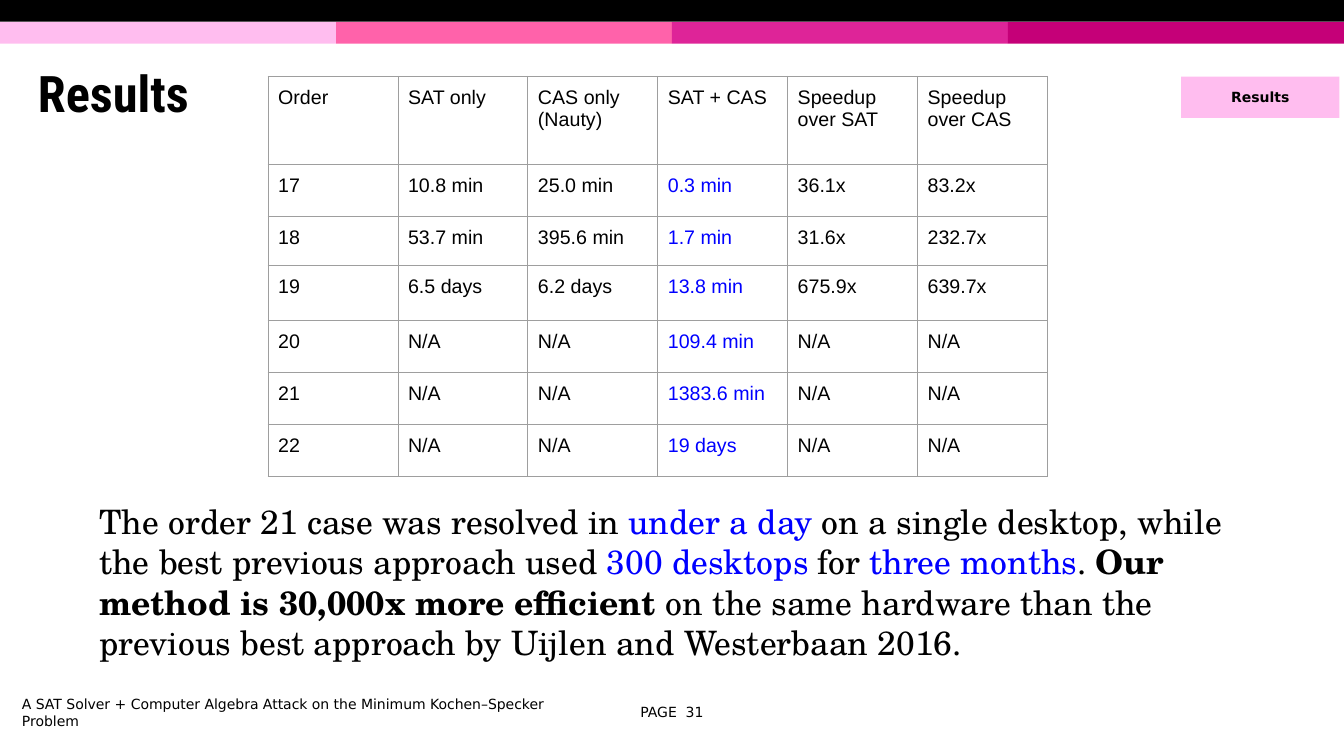
from lxml.etree import SubElement
from pptx import Presentation
from pptx.dml.color import RGBColor
from pptx.enum.shapes import MSO_SHAPE as Shape
from pptx.enum.text import MSO_ANCHOR as Anchor, PP_ALIGN as Align
from pptx.oxml.ns import qn
from pptx.util import Pt

BLACK = RGBColor(0x00, 0x00, 0x00)
BLUE = RGBColor(0x00, 0x00, 0xFF)
PALE_PINK = RGBColor(0xFF, 0xBD, 0xEF)
PINK = RGBColor(0xFF, 0x62, 0xAA)
MAGENTA = RGBColor(0xDE, 0x24, 0x98)
DEEP_MAGENTA = RGBColor(0xC5, 0x00, 0x78)
GRID_GREY = "9E9E9E"

STRIPES = [PALE_PINK, PINK, MAGENTA, DEEP_MAGENTA]
TIMINGS = [
    ("Order", "SAT only", "CAS only (Nauty)", "SAT + CAS", "Speedup over SAT", "Speedup over CAS"),
    ("17", "10.8 min", "25.0 min", "0.3 min", "36.1x", "83.2x"),
    ("18", "53.7 min", "395.6 min", "1.7 min", "31.6x", "232.7x"),
    ("19", "6.5 days", "6.2 days", "13.8 min", "675.9x", "639.7x"),
    ("20", "N/A", "N/A", "109.4 min", "N/A", "N/A"),
    ("21", "N/A", "N/A", "1383.6 min", "N/A", "N/A"),
    ("22", "N/A", "N/A", "19 days", "N/A", "N/A"),
]
ROW_HEIGHTS = [63, 37.2, 34.8, 39.4, 37.2, 37.2, 37.2]
COLUMN_WIDTH = 92.8
OUR_COLUMN = 3
SUMMARY = [
    ("The order 21 case was resolved in ", BLACK, False),
    ("under a day", BLUE, False),
    (" on a single desktop, while the best previous approach used ", BLACK, False),
    ("300 desktops", BLUE, False),
    (" for ", BLACK, False),
    ("three months", BLUE, False),
    (". ", BLACK, False),
    ("Our method is 30,000x more efficient", BLACK, True),
    (" on the same hardware than the previous best approach by Uijlen and Westerbaan 2016.", BLACK, False),
]
PAGE_WIDTH, PAGE_HEIGHT = 960, 540
BAND_HEIGHT = 15.6

deck = Presentation()
deck.slide_width, deck.slide_height = Pt(PAGE_WIDTH), Pt(PAGE_HEIGHT)
page = deck.slides.add_slide(deck.slide_layouts[6])


def write(frame, spans, size, font, align=Align.LEFT):
    para = frame.paragraphs[0]
    para.alignment = align
    for text, color, bold in spans:
        span = para.add_run()
        span.text = text
        span.font.size = Pt(size)
        span.font.name = font
        span.font.bold = bold
        span.font.color.rgb = color
    return para


def set_frame(frame, anchor, inset):
    frame.word_wrap = True
    frame.vertical_anchor = anchor
    frame.margin_left = frame.margin_right = Pt(7.2)
    frame.margin_top = frame.margin_bottom = Pt(inset)
    return frame


def add_text(left, top, width, height, anchor=Anchor.MIDDLE, inset=3.6):
    box = page.shapes.add_textbox(Pt(left), Pt(top), Pt(width), Pt(height))
    return set_frame(box.text_frame, anchor, inset)


def add_block(left, top, width, height, color):
    block = page.shapes.add_shape(Shape.RECTANGLE, Pt(left), Pt(top), Pt(width), Pt(height))
    block.shadow.inherit = False
    block.fill.solid()
    block.fill.fore_color.rgb = color
    block.line.fill.background()
    return block


def add_borders(cell):
    properties = cell._tc.get_or_add_tcPr()
    for position, side in enumerate(("a:lnL", "a:lnR", "a:lnT", "a:lnB")):
        border = properties.makeelement(qn(side), {"w": str(Pt(0.75))})
        fill = SubElement(border, qn("a:solidFill"))
        SubElement(fill, qn("a:srgbClr"), val=GRID_GREY)
        properties.insert(position, border)


stripe_width = PAGE_WIDTH / len(STRIPES)
for index, color in enumerate(STRIPES):
    add_block(index * stripe_width, BAND_HEIGHT, stripe_width, BAND_HEIGHT, color)
add_block(0, 0, PAGE_WIDTH, BAND_HEIGHT, BLACK)

title = add_text(20, 34, 911, 70.5)
write(title, [("Results", BLACK, True)], 36, "Roboto Condensed").line_spacing = 0.85

page_number = add_text(440, 499, 80, 19.5)
write(page_number, [("PAGE\u00a0 31".replace("\u00a0", " "), BLACK, False)], 10, "DejaVu Sans", Align.CENTER)
footer = add_text(8.6, 499, 430, 19.5)
write(footer, [("A SAT Solver + Computer Algebra Attack on the Minimum Kochen–Specker Problem", BLACK, False)],
      10, "DejaVu Sans")

table = page.shapes.add_table(len(TIMINGS), len(TIMINGS[0]), Pt(191.5), Pt(54.5),
                              Pt(COLUMN_WIDTH * len(TIMINGS[0])), Pt(sum(ROW_HEIGHTS))).table
table.first_row = table.horz_banding = False
for column in table.columns:
    column.width = Pt(COLUMN_WIDTH)
for row_index, (values, height) in enumerate(zip(TIMINGS, ROW_HEIGHTS)):
    table.rows[row_index].height = Pt(height)
    for column_index, value in enumerate(values):
        cell = table.cell(row_index, column_index)
        cell.fill.background()
        cell.margin_left = cell.margin_right = Pt(7.2)
        cell.margin_top = cell.margin_bottom = Pt(7.2)
        color = BLUE if row_index and column_index == OUR_COLUMN else BLACK
        write(cell.text_frame, [(value, color, False)], 14, "Arial")
        add_borders(cell)

summary = add_text(64, 350.6, 823.7, 131, Anchor.TOP, 7.2)
write(summary, SUMMARY, 24, "TeX Gyre Schola")

section_tag = add_block(843.7, 54.7, 113, 29.5, PALE_PINK)
write(set_frame(section_tag.text_frame, Anchor.MIDDLE, 3.6), [("Results", BLACK, True)],
      10, "DejaVu Sans", Align.CENTER)

deck.save("out.pptx")
